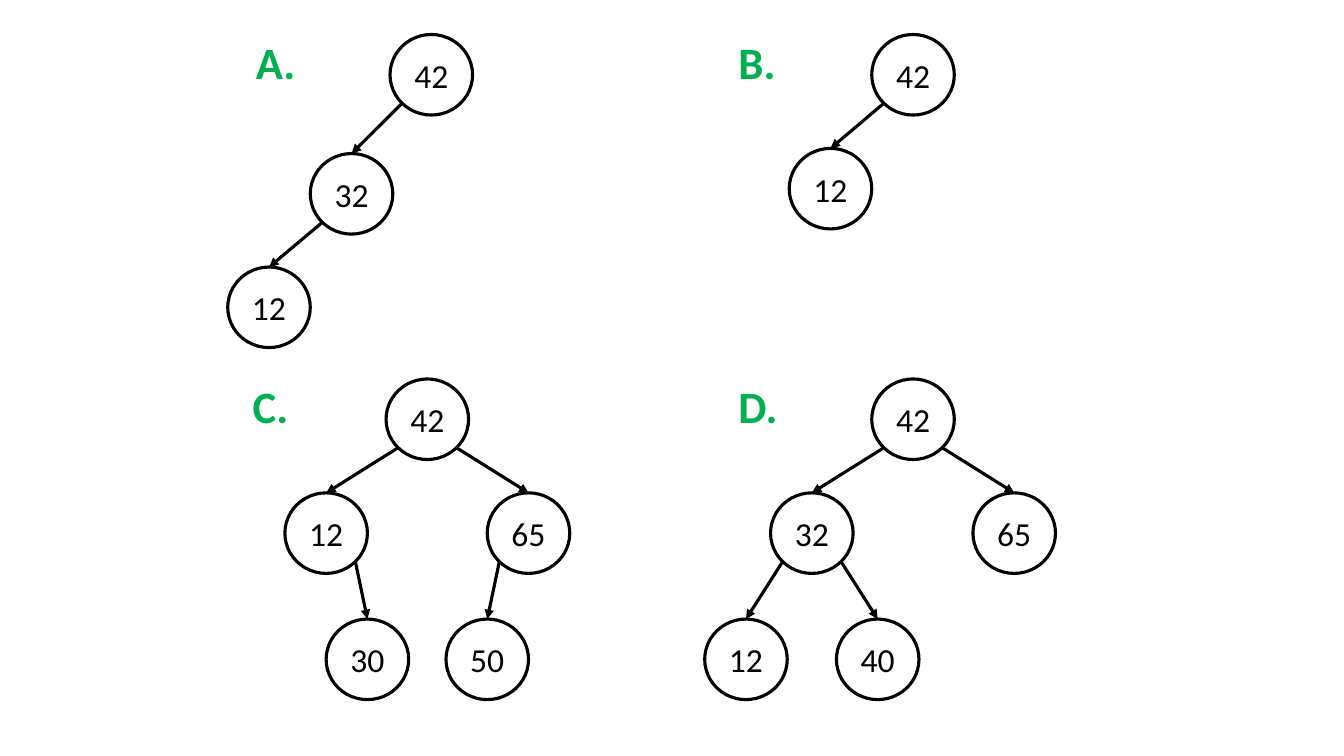
from math import sqrt

from lxml import etree
from pptx import Presentation
from pptx.dml.color import RGBColor
from pptx.enum import shapes as sh, text as tx
from pptx.oxml import ns
from pptx.util import Cm, Pt

HUES = {"ink": "000000", "label": "00B050"}
FONT = "Calibri"
WIDE, HIGH = 2.08, 2.03  # node size in cm
EDGE = (1 - sqrt(0.5)) / 2  # inset of a diagonal point on the ellipse

# A node is (value, shift right, shift down, children), measured from its parent
TREES = [
    ("A.", 6.2, 0.74, 2.34, ("42", 3.63, 0.13, [
        ("32", -2.01, 3, [("12", -2.08, 2.86, [])])])),
    ("B.", 18.36, 0.74, 2.11, ("42", 3.61, 0.13, [
        ("12", -2.08, 2.87, [])])),
    ("C.", 6.12, 9.42, 2.11, ("42", 3.61, 0.13, [
        ("12", -2.55, 2.87, [("30", 1.04, 3.18, [])]),
        ("65", 2.55, 2.87, [("50", -1.04, 3.18, [])])])),
    ("D.", 18.36, 9.42, 2.11, ("42", 3.61, 0.13, [
        ("32", -2.55, 2.87, [("12", -1.66, 3.18, []), ("40", 1.66, 3.18, [])]),
        ("65", 2.55, 2.87, [])])),
]


def color(name):
    return RGBColor.from_string(HUES[name])


def write(frame, words, size, hue, bold=False):
    frame.text = words
    font = frame.paragraphs[0].runs[0].font
    font.name, font.size, font.bold = FONT, Pt(size), bold
    font.color.rgb = color(hue)


def stroke(line):
    line.color.rgb = color("ink")
    line.width = Pt(2.25)


def add_arrow(slide, x1, y1, x2, y2):
    arrow = slide.shapes.add_connector(
        sh.MSO_CONNECTOR.STRAIGHT, Cm(x1), Cm(y1), Cm(x2), Cm(y2))
    stroke(arrow.line)
    tip = etree.SubElement(arrow.line._get_or_add_ln(), ns.qn("a:tailEnd"))
    tip.set("type", "triangle")
    etree.SubElement(arrow._element.spPr, ns.qn("a:effectLst"))


def add_node(slide, left, top, node):
    value, right, down, kids = node
    x, y = left + right, top + down
    disc = slide.shapes.add_shape(
        sh.MSO_SHAPE.OVAL, Cm(x), Cm(y), Cm(WIDE), Cm(HIGH))
    disc.shadow.inherit = False
    disc.fill.background()
    stroke(disc.line)
    frame = disc.text_frame
    frame.vertical_anchor = tx.MSO_ANCHOR.MIDDLE
    write(frame, value, 24, "ink")
    frame.paragraphs[0].alignment = tx.PP_ALIGN.CENTER

    # Children, each joined from the lower side of this node to its own top
    for kid in kids:
        add_node(slide, x, y, kid)
        side = EDGE if kid[1] < 0 else 1 - EDGE
        add_arrow(slide, x + side * WIDE, y + (1 - EDGE) * HIGH,
                  x + kid[1] + WIDE / 2, y + kid[2])


def add_tree(slide, label, left, top, width, root):
    # Option letter
    box = slide.shapes.add_textbox(Cm(left), Cm(top), Cm(width), Cm(1.62))
    frame = box.text_frame
    frame.word_wrap = True
    frame.auto_size = tx.MSO_AUTO_SIZE.SHAPE_TO_FIT_TEXT
    write(frame, label, 32, "label", True)
    # Nodes and arrows
    add_node(slide, left, top, root)


def main():
    deck = Presentation()
    deck.slide_width, deck.slide_height = Cm(33.87), Cm(19.05)
    slide = deck.slides.add_slide(deck.slide_layouts[6])
    for tree in TREES:
        add_tree(slide, *tree)
    deck.save("out.pptx")


if __name__ == "__main__":
    main()
